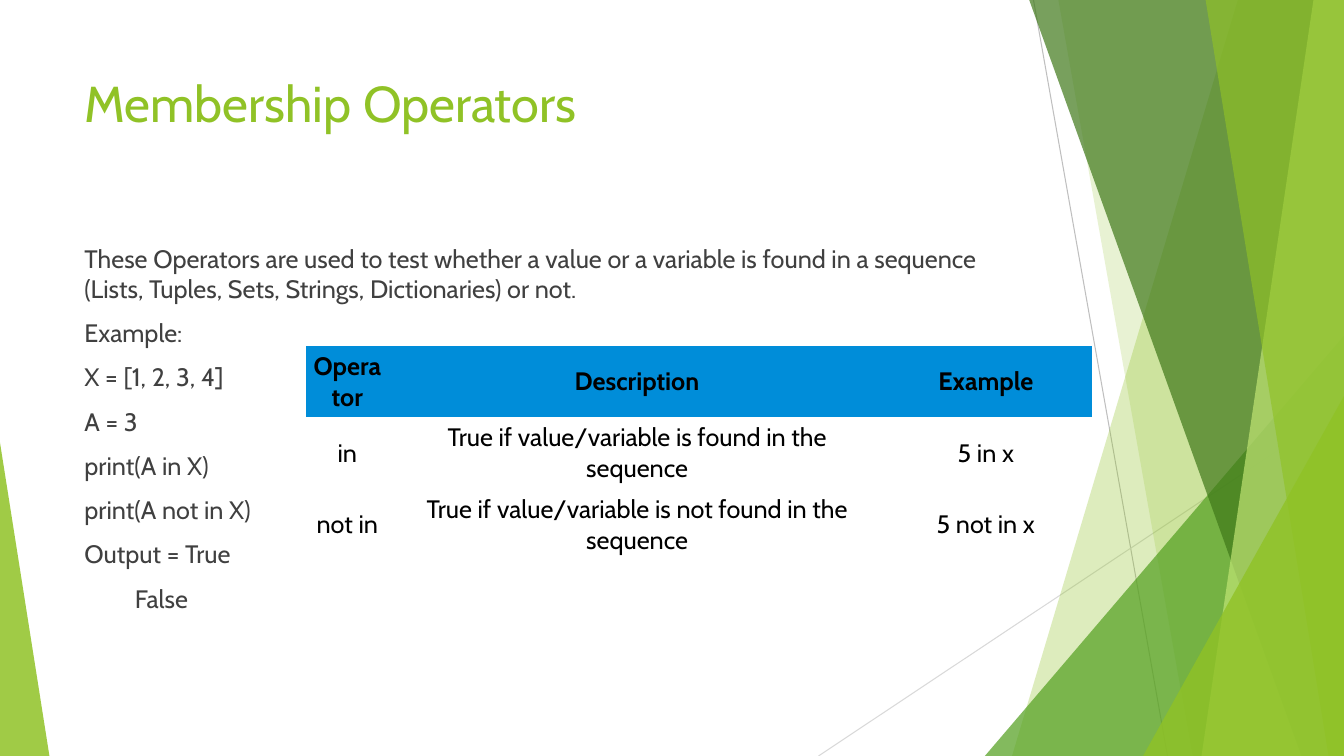
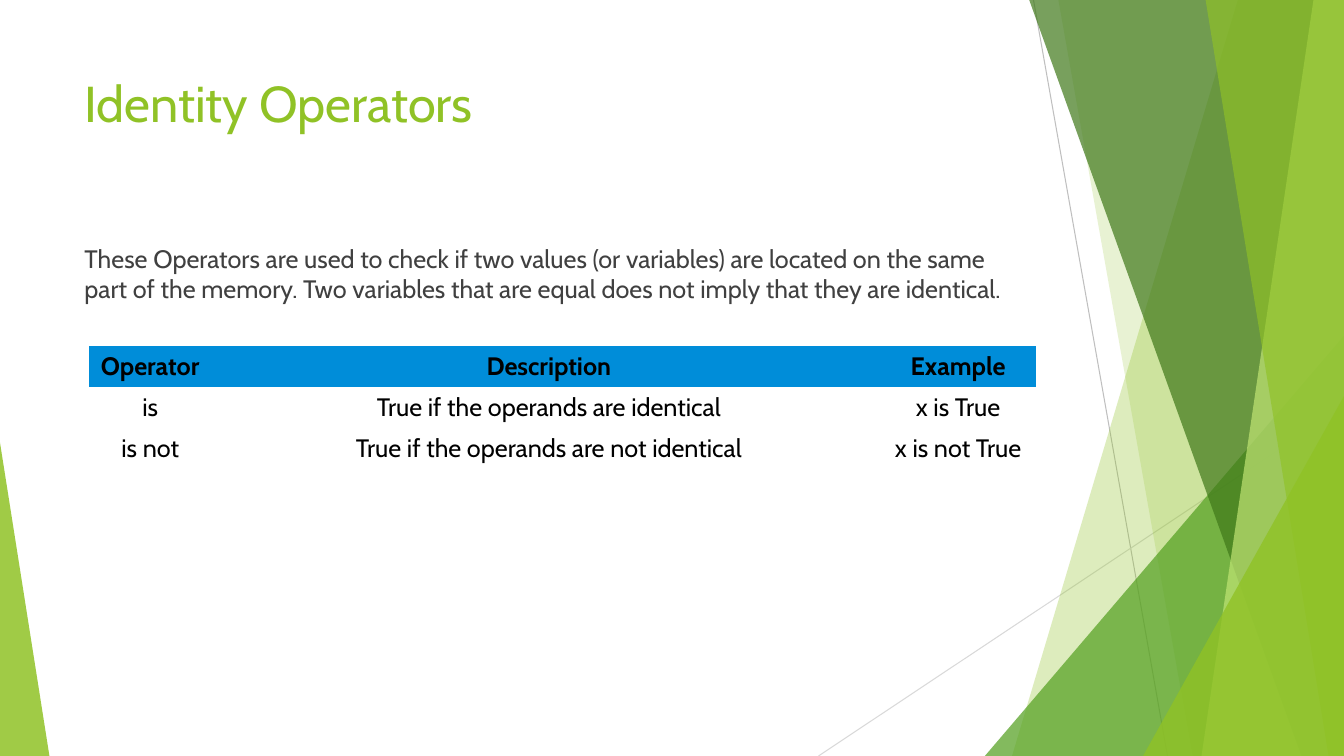
from lxml.etree import SubElement as Sub
from pptx import Presentation
from pptx.dml.color import RGBColor
from pptx.enum.shapes import MSO_CONNECTOR as CONN, MSO_SHAPE as SHAPE
from pptx.enum.text import MSO_ANCHOR as ANCHOR, PP_ALIGN as ALIGN
from pptx.oxml.ns import qn
from pptx.util import Inches, Pt

prs = Presentation()
prs.slide_width, prs.slide_height = Inches(13.33), Inches(7.5)
COL, ROW = prs.slide_width / 100, prs.slide_height / 100  # 100 x 100 grid

FONT = "Cabin"
LIME, GREEN, FOREST, PALE = "90C226", "54A021", "3F7819", "C0E474"
GREY, BLACK, BLUE, WHITE = "404040", "000000", "008DD9", "FFFFFF"
NO_STYLE = "{2D5ABB26-0587-4C30-8999-92F81FD0307C}"

# Shared background: thin lines (x1, y1, x2, y2, colour)
LINES = [(76.9, 0, 86.87, 100, "BFBFBF"), (100, 53.73, 60.9, 100, "D9D9D9")]
# Shards run to the right edge: (top x, bottom x); triangles: (x, y, w, apex)
FACETS = [
    ((92.1, 75.3), LIME, 30),
    ((78.75, 88.73), LIME, 20),
    ((73.28, 44.4, 26.72, 1), GREEN, 72),
    ((76.58, 96.83), FOREST, 70),
    ((97.73, 89.4), PALE, 70),
    ((89.7, 98.85), LIME, 65),
    ((85.05, 52.4, 14.95, 1), LIME, 80),
    ((0, 58.53, 3.68, 0), LIME, 85),
]

# Title, body as (text, indent), table left, columns, row height, cells
SLIDES = [
    ("Membership Operators",
     [("These Operators are used to test whether a value or a variable is found "
       "in a sequence (Lists, Tuples, Sets, Strings, Dictionaries) or not.", 0),
      ("Example:", 0), ("X = [1, 2, 3, 4]", 0), ("A = 3", 0),
      ("print(A in X)", 0), ("print(A not in X)", 0),
      ("Output = True", 0), ("False", 0.5)],
     22.8, (6.53, 36.6, 15.3), 9.47,
     [("Operator", "Description", "Example"),
      ("in", "True if value/variable is found in the sequence", "5 in x"),
      ("not in", "True if value/variable is not found in the sequence",
       "5 not in x")]),
    ("Identity Operators",
     [("These Operators are used to check if two values (or variables) are "
       "located on the same part of the memory. Two variables that are equal "
       "does not imply that they are identical.", 0)],
     6.6, (9.6, 49.73, 11.18), 5.45,
     [("Operator", "Description", "Example"),
      ("is", "True if the operands are identical", "x is True"),
      ("is not", "True if the operands are not identical", "x is not True")]),
]


def rgb(value):
    return RGBColor.from_string(value)


def add_run(p, text, size, color, bold=False):
    r = p.add_run()
    r.text = text
    r.font.name, r.font.size, r.font.bold = FONT, Pt(size), bold
    r.font.color.rgb = rgb(color)


for title, body, left, cols, row_height, cells in SLIDES:
    s = prs.slides.add_slide(prs.slide_layouts[6])

    # Background lines
    for x1, y1, x2, y2, color in LINES:
        ln = s.shapes.add_connector(CONN.STRAIGHT, int(x1 * COL), int(y1 * ROW),
                                    int(x2 * COL), int(y2 * ROW))
        ln.line.color.rgb = rgb(color)
        ln.line.width = Pt(0.75)
        Sub(ln._element.spPr, qn("a:effectLst"))

    # Translucent facets
    for geometry, color, alpha in FACETS:
        if len(geometry) == 2:
            top, bottom = geometry
            fb = s.shapes.build_freeform(int(top * COL), 0)
            fb.add_line_segments([(int(x * COL), int(y * ROW)) for x, y in
                                  ((100, 0), (100, 100), (bottom, 100))])
            sp = fb.convert_to_shape()
        else:
            x, y, w, apex = geometry
            sp = s.shapes.add_shape(SHAPE.ISOSCELES_TRIANGLE, int(x * COL),
                                    int(y * ROW), int(w * COL),
                                    int((100 - y) * ROW))
            sp.adjustments[0] = apex
        sp.shadow.inherit = False
        sp.fill.solid()
        sp.fill.fore_color.rgb = rgb(color)
        sp.line.fill.background()
        clr = sp._element.spPr.find(qn("a:solidFill")).find(qn("a:srgbClr"))
        Sub(clr, qn("a:alpha"), val=str(alpha * 1000))

    # Title and body
    for y, h, size, color, space, paragraphs in (
            (8.93, 19.2, 36, LIME, 0, [(title, 0)]),
            (31.47, 56.53, 18, GREY, 10, body)):
        tf = s.shapes.add_textbox(int(5.55 * COL), int(y * ROW),
                                  int(70.5 * COL), int(h * ROW)).text_frame
        tf.word_wrap = True
        for i, (text, indent) in enumerate(paragraphs):
            p = tf.add_paragraph() if i else tf.paragraphs[0]
            p.space_before = Pt(space)
            if indent:
                p._p.get_or_add_pPr().set("marL", str(Inches(indent)))
            add_run(p, text, size, color)

    # Operator table
    table = s.shapes.add_table(len(cells), len(cols), int(left * COL),
                               int(45.75 * ROW), int(sum(cols) * COL),
                               int(len(cells) * row_height * ROW)).table
    table.horz_banding = False
    table._tbl.tblPr.find(qn("a:tableStyleId")).text = NO_STYLE
    for column, width in zip(table.columns, cols):
        column.width = int(width * COL)
    for i, texts in enumerate(cells):
        table.rows[i].height = int(row_height * ROW)
        for j, text in enumerate(texts):
            cell = table.cell(i, j)
            cell.fill.solid()
            cell.fill.fore_color.rgb = rgb(WHITE if i else BLUE)
            cell.vertical_anchor = ANCHOR.MIDDLE
            cell.margin_left, cell.margin_right = Inches(0.04), Inches(0.1)
            cell.margin_top = cell.margin_bottom = Inches(0.05)
            p = cell.text_frame.paragraphs[0]
            p.alignment = ALIGN.CENTER
            add_run(p, text, 18, BLACK, bold=i == 0)

# The first table lies over the facets' free side, so its body stays clear
for sp in prs.slides[0].shapes:
    if sp.has_table:
        for cell in sp.table.iter_cells():
            if not cell.text_frame.paragraphs[0].runs[0].font.bold:
                cell.fill.background()

prs.save("out.pptx")
